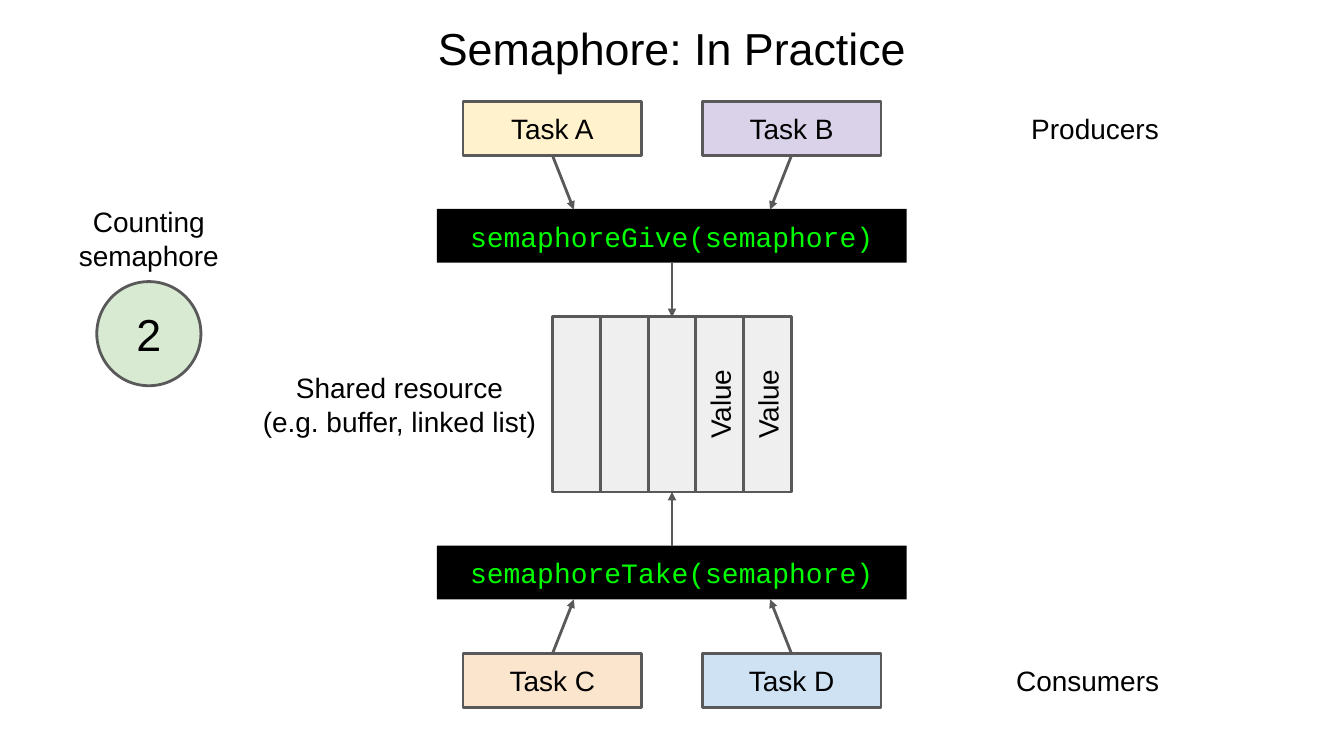
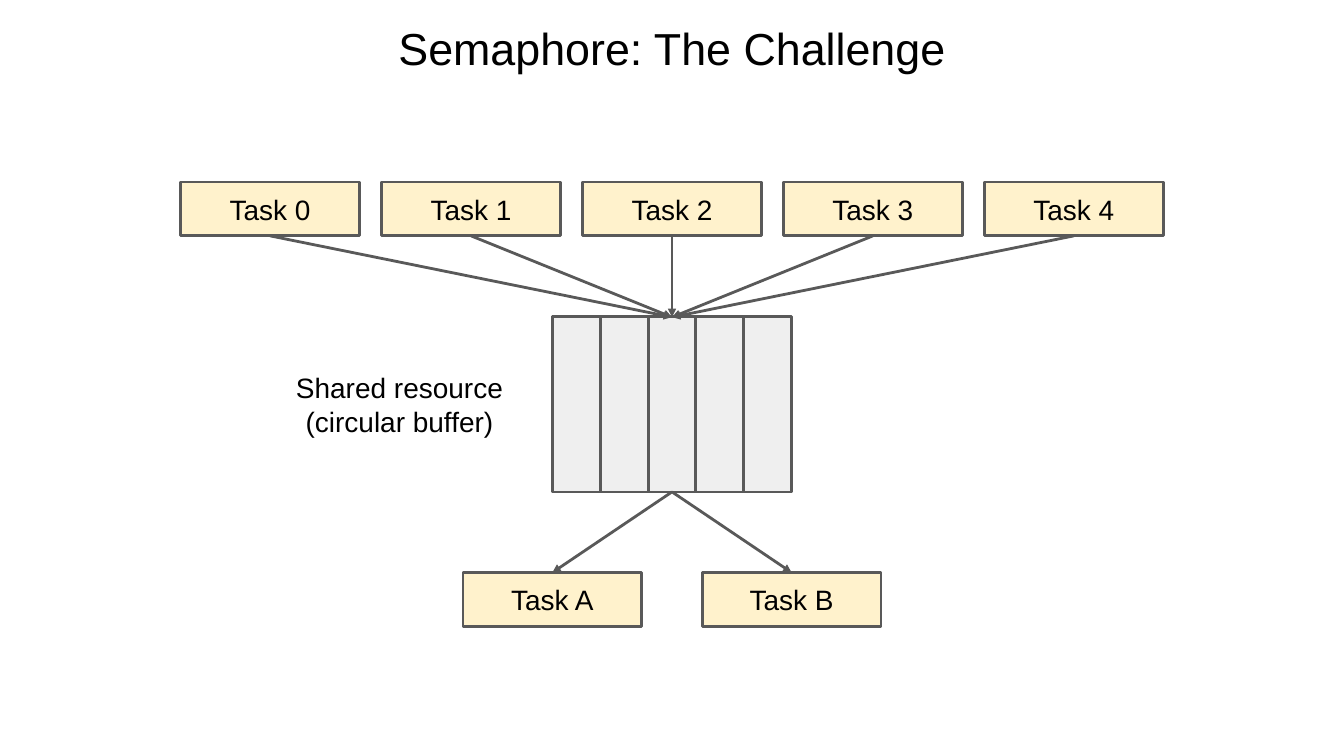
"""Build two slides on semaphores guarding a shared resource."""
from dataclasses import dataclass

from lxml.etree import SubElement
from pptx import Presentation
from pptx.dml.color import RGBColor
from pptx.enum.shapes import MSO_CONNECTOR, MSO_SHAPE
from pptx.enum.text import MSO_ANCHOR, MSO_AUTO_SIZE, PP_ALIGN
from pptx.oxml.ns import qn
from pptx.util import Inches, Pt


@dataclass(frozen=True)
class Theme:
    ink: str = "000000"
    outline: str = "595959"
    slot: str = "EFEFEF"
    code: str = "00FF00"
    yellow: str = "FFF2CC"
    purple: str = "D9D2E9"
    orange: str = "FCE5CD"
    blue: str = "CFE2F3"
    green: str = "D9EAD3"
    font: str = "Arial"
    code_font: str = "Courier New"
    title_size: int = 48
    body_size: int = 30
    line_width: int = 3


theme = Theme()
TOP, BOTTOM = 0, 2
SLOT_TOP, SLOT_BOTTOM = 3, 1
CENTER = 10
TASK_W, ROW_H = 2.66, 0.8
SLOT_W, SLOT_H, SLOT_Y = 0.71, 2.61, 4.71
BUFFER_TOP, BUFFER_BOTTOM = 4.72, 7.32
PAIR = (8.22, 11.78)
BAR_ENDS = (8.54, 11.46)


def add_text(slide, text, at, fill=None, outlined=True, kind=MSO_SHAPE.RECTANGLE,
             size=theme.body_size, font=theme.font, color=theme.ink,
             anchor=MSO_ANCHOR.MIDDLE, rotation=0, grow=False):
    frame = [Inches(length) for length in at]
    if fill:
        shape = slide.shapes.add_shape(kind, *frame)
        shape.shadow.inherit = False
        shape.rotation = rotation
        shape.fill.solid()
        shape.fill.fore_color.rgb = RGBColor.from_string(fill)
        if outlined:
            shape.line.color.rgb = RGBColor.from_string(theme.outline)
            shape.line.width = Pt(theme.line_width)
            SubElement(shape.line._ln, qn("a:round"))
        else:
            shape.line.fill.background()
    else:
        shape = slide.shapes.add_textbox(*frame)
    body = shape.text_frame
    body.word_wrap = True
    body.vertical_anchor = anchor
    body.margin_left = body.margin_right = Inches(0.1)
    body.margin_top = body.margin_bottom = Inches(0.1)
    if grow:
        body.auto_size = MSO_AUTO_SIZE.SHAPE_TO_FIT_TEXT
    body.text = text
    for paragraph in body.paragraphs:
        paragraph.alignment = PP_ALIGN.CENTER
        paragraph.font.size = Pt(size)
        for run in paragraph.runs:
            run.font.size = Pt(size)
            run.font.name = font
            run.font.color.rgb = RGBColor.from_string(color)
    return shape


def add_arrow(slide, start, end, source=None, target=None):
    points = [Inches(length) for length in (*start, *end)]
    arrow = slide.shapes.add_connector(MSO_CONNECTOR.STRAIGHT, *points)
    if source:
        arrow.begin_connect(*source)
    if target:
        arrow.end_connect(*target)
    arrow.begin_x, arrow.begin_y, arrow.end_x, arrow.end_y = points
    arrow.line.color.rgb = RGBColor.from_string(theme.outline)
    arrow.line.width = Pt(theme.line_width)
    SubElement(arrow.line._ln, qn("a:round"))
    SubElement(arrow.line._ln, qn("a:tailEnd"), type="triangle")
    SubElement(arrow._element.spPr, qn("a:effectLst"))


deck = Presentation()
deck.slide_width, deck.slide_height = Inches(20), Inches(11.25)

pages = []
for title, resource, values in (
    ("Semaphore: In Practice", "Shared resource\n(e.g. buffer, linked list)",
     ("", "", "", "Value", "Value")),
    ("Semaphore: The Challenge", "Shared resource\n(circular buffer)", ("",) * 5),
):
    slide = deck.slides.add_slide(deck.slide_layouts[6])
    add_text(slide, title, (2.33, 0.21, 15.34, 1), size=theme.title_size,
             anchor=MSO_ANCHOR.TOP, grow=True)
    add_text(slide, resource, (3.66, 5.46, 4.57, 1.11))
    slots = [
        add_text(slide, value,
                 (CENTER + (i - 2) * SLOT_W - SLOT_H / 2,
                  SLOT_Y + (SLOT_H - SLOT_W) / 2, SLOT_H, SLOT_W),
                 fill=theme.slot, rotation=270)
        for i, value in enumerate(values)
    ]
    pages.append((slide, slots[2]))

practice, middle_slot = pages[0]
for names, fills, task_y, task_edge, task_side, call, bar_y, bar_edge, bar_exit, bar_side, buffer_edge, slot_side in (
    (("Task A", "Task B"), (theme.yellow, theme.purple), 1.51, 2.31, BOTTOM,
     "semaphoreGive(semaphore)", 3.11, 3.12, 3.91, BOTTOM, BUFFER_TOP, SLOT_TOP),
    (("Task C", "Task D"), (theme.orange, theme.blue), 9.73, 9.73, TOP,
     "semaphoreTake(semaphore)", 8.12, 8.92, 8.12, TOP, BUFFER_BOTTOM, SLOT_BOTTOM),
):
    bar = add_text(practice, call, (6.5, bar_y, 6.99, ROW_H), fill=theme.ink,
                   outlined=False, font=theme.code_font, color=theme.code)
    for name, fill, x, bar_x in zip(names, fills, PAIR, BAR_ENDS):
        task = add_text(practice, name, (x - TASK_W / 2, task_y, TASK_W, ROW_H), fill=fill)
        add_arrow(practice, (x, task_edge), (bar_x, bar_edge), source=(task, task_side))
    add_arrow(practice, (CENTER, bar_exit), (CENTER, buffer_edge),
              source=(bar, bar_side), target=(middle_slot, slot_side))

for label, x, y in (("Counting semaphore", 0.41, 3.04),
                    ("Producers", 14.49, 1.41), ("Consumers", 14.38, 9.62)):
    add_text(practice, label, (x, y, 3.61, 1.01))
add_text(practice, "2", (1.44, 4.19, 1.55, 1.55), fill=theme.green,
         kind=MSO_SHAPE.OVAL, size=theme.title_size)

challenge, middle_slot = pages[1]
for i in range(5):
    x = CENTER + (i - 2) * 2.99
    producer = add_text(challenge, f"Task {i}", (x - TASK_W / 2, 2.71, TASK_W, ROW_H),
                        fill=theme.yellow)
    add_arrow(challenge, (x, 3.51), (CENTER, BUFFER_TOP),
              source=(producer, BOTTOM), target=(middle_slot, SLOT_TOP))
for name, x in zip(("Task A", "Task B"), PAIR):
    consumer = add_text(challenge, name, (x - TASK_W / 2, 8.52, TASK_W, ROW_H),
                        fill=theme.yellow)
    add_arrow(challenge, (CENTER, BUFFER_BOTTOM), (x, 8.52),
              source=(middle_slot, SLOT_BOTTOM), target=(consumer, TOP))

deck.save("out.pptx")
